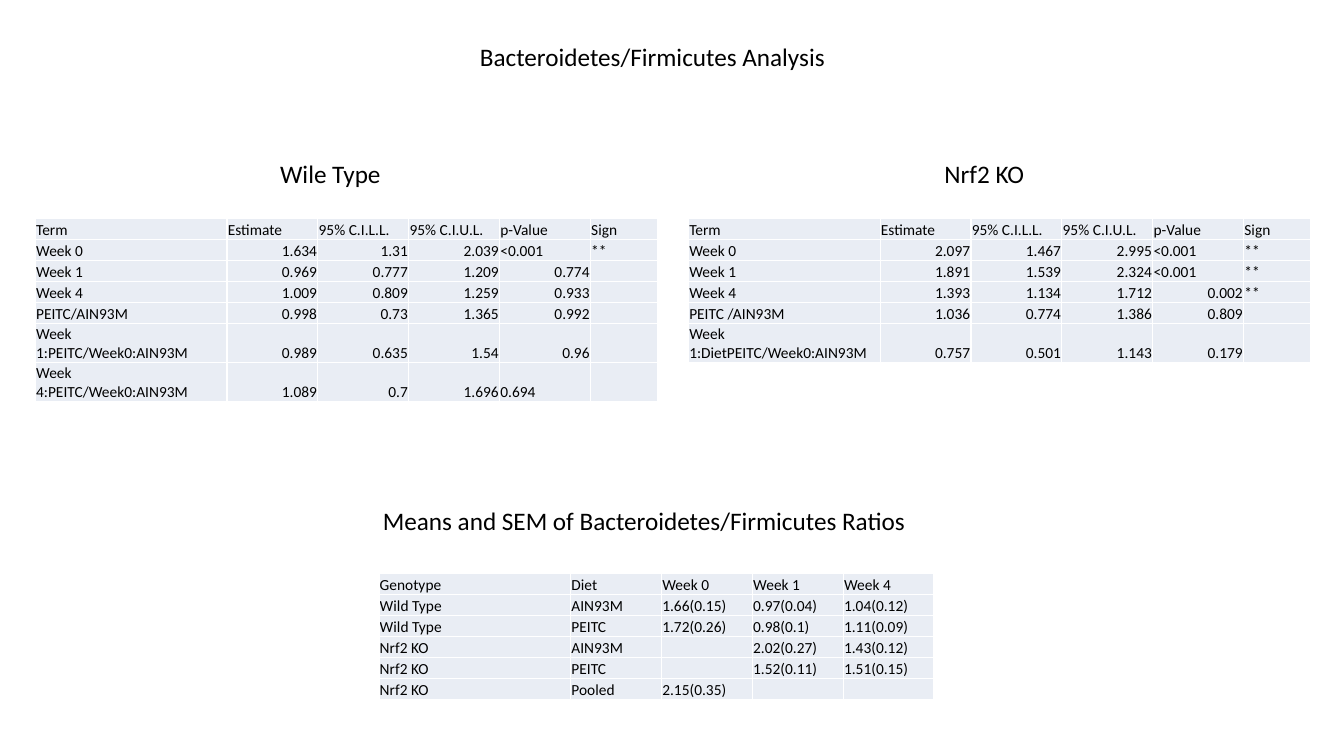
from lxml import etree
from pptx import Presentation, util as u
from pptx.dml.color import RGBColor
from pptx.enum import text
from pptx.oxml.ns import qn

Cm, Pt = u.Cm, u.Pt
HUES = {"ink": "000000", "cell": "E9EDF4", "rule": "FFFFFF"}
FACE = "Calibri"
ROW = 0.53
WIDE, MID, SLIM = 4.83, 2.29, 1.69

HEAD = ["Term", "Estimate", "95% C.I.L.L.", "95% C.I.U.L.", "p-Value", "Sign"]
WILD = [
    HEAD,
    ["Week 0", "1.634", "1.31", "2.039", "<0.001", "**"],
    ["Week 1", "0.969", "0.777", "1.209", "0.774", ""],
    ["Week 4", "1.009", "0.809", "1.259", "0.933", ""],
    ["PEITC/AIN93M", "0.998", "0.73", "1.365", "0.992", ""],
    ["Week 1:PEITC/Week0:AIN93M", "0.989", "0.635", "1.54", "0.96", ""],
    ["Week 4:PEITC/Week0:AIN93M", "1.089", "0.7", "1.696", "0.694", ""],
]
KNOCK = [
    HEAD,
    ["Week 0", "2.097", "1.467", "2.995", "<0.001", "**"],
    ["Week 1", "1.891", "1.539", "2.324", "<0.001", "**"],
    ["Week 4", "1.393", "1.134", "1.712", "0.002", "**"],
    ["PEITC /AIN93M", "1.036", "0.774", "1.386", "0.809", ""],
    ["Week 1:DietPEITC/Week0:AIN93M", "0.757", "0.501", "1.143", "0.179", ""],
]
MEANS = [
    ["Genotype", "Diet", "Week 0", "Week 1", "Week 4"],
    ["Wild Type", "AIN93M", "1.66(0.15)", "0.97(0.04)", "1.04(0.12)"],
    ["Wild Type", "PEITC", "1.72(0.26)", "0.98(0.1)", "1.11(0.09)"],
    ["Nrf2 KO", "AIN93M", "", "2.02(0.27)", "1.43(0.12)"],
    ["Nrf2 KO", "PEITC", "", "1.52(0.11)", "1.51(0.15)"],
    ["Nrf2 KO", "Pooled", "2.15(0.35)", "", ""],
]


def hue(name):
    """Return a named colour."""
    return RGBColor.from_string(HUES[name])


def style(par, size):
    """Format the runs of a paragraph."""
    for run in par.runs:
        run.font.size = Pt(size)
        run.font.name = FACE
        run.font.color.rgb = hue("ink")


def label(shape, words):
    """Write a left-aligned heading into a shape."""
    frame = shape.text_frame
    frame.text = words
    frame.word_wrap = True
    frame.auto_size = text.MSO_AUTO_SIZE.NONE
    frame.vertical_anchor = text.MSO_ANCHOR.TOP
    par = frame.paragraphs[0]
    par.alignment = text.PP_ALIGN.LEFT
    style(par, 18)


def title(slide, box, words):
    """Move the title placeholder to its box and fill it."""
    shape = slide.shapes.title
    shape.left, shape.top, shape.width, shape.height = map(Cm, box)
    label(shape, words)


def border(cell):
    """Draw thin rules on all sides of a cell."""
    props = cell._tc.get_or_add_tcPr()
    for side in ("lnL", "lnR", "lnT", "lnB"):
        line = etree.SubElement(props, qn("a:" + side), w=str(Pt(1)))
        fill = etree.SubElement(line, qn("a:solidFill"))
        etree.SubElement(fill, qn("a:srgbClr"), val=HUES["rule"])


def fill(cell, words, right):
    """Format one cell and write its text."""
    border(cell)
    cell.fill.solid()
    cell.fill.fore_color.rgb = hue("cell")
    cell.margin_left = cell.margin_right = cell.margin_top = Cm(0.02)
    cell.margin_bottom = 0
    cell.vertical_anchor = text.MSO_ANCHOR.BOTTOM
    cell.text_frame.text = words
    par = cell.text_frame.paragraphs[0]
    par.alignment = text.PP_ALIGN.RIGHT if right else text.PP_ALIGN.LEFT
    style(par, 11)
    if not words:
        par._p.get_or_add_endParaRPr().set("sz", "1100")


def panel(slide, box, words, shift, span, rows, cols, left=()):
    """Place a heading and its table, with the table corner at the box."""
    x, y = box
    dx, dy = shift
    head = slide.shapes.add_textbox(Cm(x + dx), Cm(y - dy), Cm(span), Cm(1.02))
    label(head, words)
    grid = slide.shapes.add_table(
        len(rows), len(cols), Cm(x), Cm(y), Cm(sum(cols)), Cm(ROW * len(rows))
    ).table
    grid.first_row = grid.horz_banding = False
    for col, wide in zip(grid.columns, cols):
        col.width = Cm(wide)
    for i, row in enumerate(rows):
        grid.rows[i].height = Cm(ROW)
        for j, word in enumerate(row):
            number = word.replace(".", "").isdigit()
            fill(grid.cell(i, j), word, number and word not in left)


def main():
    """Build the slide and save it."""
    deck = Presentation()
    deck.slide_width, deck.slide_height = Cm(33.87), Cm(19.05)
    slide = deck.slides.add_slide(deck.slide_layouts[5])
    title(slide, (11.84, 0.91, 11, 1.02), "Bacteroidetes/Firmicutes Analysis")
    means = [WIDE] + [MID] * 4
    terms = means + [SLIM]
    panel(slide, (0.89, 5.51), "Wile Type", (5.92, 1.65), 4.24,
          WILD, terms, left=("0.694",))
    panel(slide, (17.35, 5.51), "Nrf2 KO", (6.2, 1.65), 4.24, KNOCK, terms)
    panel(slide, (9.55, 14.45), "Means and SEM of Bacteroidetes/Firmicutes Ratios",
          (-0.15, 1.85), 14, MEANS, means)
    deck.save("out.pptx")


if __name__ == "__main__":
    main()
